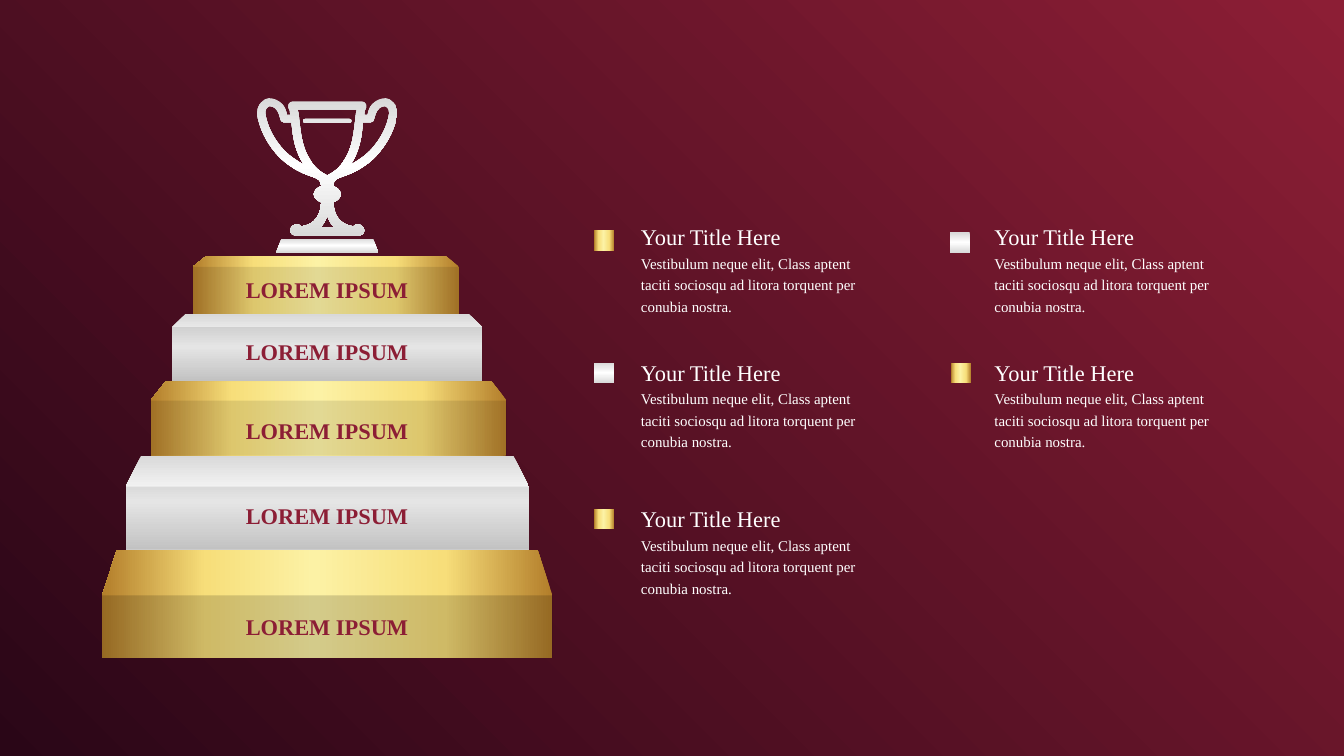
from lxml.etree import SubElement as Sub
from pptx import Presentation
from pptx.dml.color import RGBColor as RGB
from pptx.enum.shapes import MSO_SHAPE as Shape
from pptx.enum.text import MSO_AUTO_SIZE as Fit, PP_ALIGN as Align
from pptx.oxml.ns import qn
from pptx.util import Inches, Pt

WINE, PLUM = RGB(0x8C, 0x1E, 0x35), RGB(0x2A, 0x06, 0x17)
WHITE, BLACK = RGB(255, 255, 255), RGB(0, 0, 0)
BRONZE, AMBER, CREAM = RGB(0xB3, 0x7E, 0x2A), RGB(0xF7, 0xDE, 0x7A), RGB(0xFC, 0xF2, 0xA5)
GREY = RGB(0xD9, 0xD9, 0xD9)

GOLD = ([(0, BRONZE), (24, AMBER), (53, CREAM), (77, AMBER), (100, BRONZE)], 180)
SILVER = ([(0, GREY), (49, WHITE), (100, GREY)], 90)
GLOW = ([(0, WINE), (100, PLUM)], None)

BASE = {"name": "Times New Roman"}
LABEL = BASE | {"size": Pt(24), "bold": True}
TITLE = BASE | {"size": Pt(24)}
BODY = BASE | {"size": Pt(16)}
BOX = {"word_wrap": True, "auto_size": Fit.SHAPE_TO_FIT_TEXT}
BLURB = ("Vestibulum neque elit, Class aptent taciti sociosqu "
         "ad litora torquent per conubia nostra.")

STEPS = [
    (8.18, 9.79, 1.52, 6.7, 0.22, 0.68, 9.07, 16),
    (6.78, 8.18, 1.87, 6, 0.23, 0.46, 7.42, 10),
    (5.67, 6.78, 2.24, 5.3, 0.23, 0.29, 6.16, 10),
    (4.67, 5.67, 2.56, 4.62, 0.2, 0.2, 4.98, 10),
    (3.81, 4.67, 2.87, 3.96, 0.2, 0.16, 4.06, 10),
]
NOTES = [
    (9.44, 3.19, 8.84, 3.43, GOLD), (9.44, 5.21, 8.84, 5.4, SILVER),
    (9.44, 7.39, 8.84, 7.58, GOLD), (14.7, 3.19, 14.13, 3.46, SILVER),
    (14.7, 5.21, 14.15, 5.4, GOLD),
]

AXIS = 4.87
CUP = [
    (5.33, 3.51), (5.37, 3.51, 5.42, 3.48, 5.42, 3.43),
    (5.42, 3.38, 5.37, 3.34, 5.33, 3.34), (5.3, 3.34, 5.27, 3.35, 5.26, 3.37),
    (5.04, 3.34, 4.97, 3.19, 4.96, 3.01), (5.02, 2.99, 5.07, 2.94, 5.07, 2.89),
    (5.07, 2.84, 5.02, 2.79, 4.96, 2.77), (4.96, 2.67, 5.01, 2.66, 5.12, 2.62),
    (5.3, 2.56, 5.46, 2.46, 5.59, 2.33), (5.74, 2.17, 5.85, 1.98, 5.9, 1.77),
    (5.93, 1.65, 5.9, 1.56, 5.84, 1.51), (5.82, 1.48, 5.78, 1.47, 5.74, 1.46),
    (5.71, 1.46, 5.67, 1.47, 5.64, 1.48), (5.56, 1.51, 5.49, 1.58, 5.47, 1.71),
    (5.42, 1.71), (5.42, 1.67, 5.43, 1.62, 5.45, 1.6),
    (5.46, 1.57, 5.45, 1.54, 5.42, 1.52), (5.41, 1.51, 5.4, 1.51, 5.39, 1.51),
]
BOWL = [
    (4.87, 2.61), (4.98, 2.56, 5.07, 2.48, 5.13, 2.37),
    (5.21, 2.25, 5.25, 2.09, 5.27, 1.92), (5.27, 1.9, 5.28, 1.87, 5.28, 1.84),
    (5.29, 1.77, 5.29, 1.7, 5.31, 1.63),
]
FOOT = [(4.97, 3.38), (4.92, 3.33, 4.89, 3.27, 4.87, 3.2)]
SLOT = [
    (5.2, 1.77), (5.22, 1.77, 5.23, 1.78, 5.23, 1.8),
    (5.23, 1.81, 5.22, 1.83, 5.2, 1.83),
]
LOOP = [
    (5.4, 1.82), (5.4, 1.85), (5.4, 1.88, 5.39, 1.9, 5.39, 1.93),
    (5.37, 2.12, 5.32, 2.29, 5.23, 2.43), (5.22, 2.45),
    (5.33, 2.39, 5.43, 2.32, 5.51, 2.24), (5.64, 2.1, 5.74, 1.93, 5.78, 1.75),
    (5.8, 1.67, 5.79, 1.62, 5.76, 1.6), (5.75, 1.59, 5.74, 1.58, 5.73, 1.58),
    (5.71, 1.58, 5.7, 1.58, 5.68, 1.59), (5.63, 1.61, 5.59, 1.67, 5.57, 1.76),
    (5.57, 1.79, 5.55, 1.82, 5.52, 1.82),
]


def apply(item, style):
    for key, value in style.items():
        setattr(item, key, value)


def blend(fill, root, paint):
    stops, angle = paint
    fill.gradient()
    grad = next(root.iter(qn("a:gradFill")))
    for child in list(grad):
        grad.remove(child)
    group = Sub(grad, qn("a:gsLst"))
    for spot, tint in stops:
        stop = Sub(group, qn("a:gs"), pos=str(spot * 1000))
        Sub(stop, qn("a:srgbClr"), val=str(tint))
    if angle is None:
        way = Sub(grad, qn("a:path"))
        way.set("path", "circle")
        Sub(way, qn("a:fillToRect"), l="100000", b="100000")
    else:
        Sub(grad, qn("a:lin"), ang=str(angle * 60000), scaled="0")


def finish(shape, paint):
    shape.shadow.inherit = False
    shape.line.fill.background()
    blend(shape.fill, shape.element.spPr, paint)


def shade(shape, alpha):
    shape.shadow.inherit = False
    shape.line.fill.background()
    shape.fill.solid()
    shape.fill.fore_color.rgb = BLACK
    tint = next(shape.element.spPr.iter(qn("a:srgbClr")))
    Sub(tint, qn("a:alpha"), val=str(alpha * 1000))


def pairs(part):
    return list(zip(part[::2], part[1::2]))


def bend(shape, loops):
    nodes = iter(list(shape.element.spPr.iter(qn("a:lnTo"))))
    for part in (part for loop in loops for part in loop[1:]):
        first, *rest = [next(nodes) for _ in pairs(part)]
        if rest:
            first.tag = qn("a:cubicBezTo")
        for node in rest:
            first.append(node[0])
            node.getparent().remove(node)


def outline(slide, loops):
    pen = None
    for loop in loops:
        dots = [(Inches(x), Inches(y)) for part in loop for x, y in pairs(part)]
        if pen is None:
            pen = slide.shapes.build_freeform(*dots[0])
        else:
            pen.move_to(*dots[0])
        pen.add_line_segments(dots[1:], close=True)
    shape = pen.convert_to_shape()
    bend(shape, loops)
    return shape


def write(slide, spot, text, style, tint=None, **form):
    box = slide.shapes.add_textbox(*map(Inches, spot))
    apply(box.text_frame, BOX)
    line = box.text_frame.paragraphs[0]
    apply(line, form)
    run = line.add_run()
    run.text = text
    apply(run.font, style)
    if tint is None:
        blend(run.font.fill, run._r, GLOW)
    else:
        run.font.color.rgb = tint


def add_step(slide, step, paint):
    top, base, left, width, inset, lip, label, alpha = step
    right, edge = left + width, top + lip
    front = [(right, base), (left, base), (left, edge), (right, edge)]
    block = [(right - inset, top), (left + inset, top), (left, edge),
             (left, base), (right, base), (right, edge)]
    finish(outline(slide, [block]), paint)
    shade(outline(slide, [front]), alpha)
    write(slide, (3.12, label, 3.49, 0.5), "LOREM IPSUM", LABEL, alignment=Align.CENTER)


def add_note(slide, left, top, x, y, paint):
    write(slide, (left, top, 3.73, 0.54), "Your Title Here", TITLE, WHITE, line_spacing=1.2)
    write(slide, (left, top + 0.49, 3.66, 1.07), BLURB, BODY, WHITE, line_spacing=1.2)
    mark = slide.shapes.add_shape(Shape.RECTANGLE, *map(Inches, (x, y, 0.3, 0.3)))
    finish(mark, paint)


def flip(parts):
    dots = [(2 * AXIS - x, y) for part in parts for x, y in pairs(part)][::-1]
    turned, start = [dots[0]], 1
    for part in parts[:0:-1]:
        stop = start + len(part) // 2
        turned.append(tuple(n for dot in dots[start:stop] for n in dot))
        start = stop
    return turned


def whole(half):
    twin = flip(half)
    return half + twin[half[-1][-2] == AXIS:]


def add_cup(slide):
    loops = [whole(half) for half in (CUP, BOWL, FOOT, SLOT)]
    finish(outline(slide, loops + [LOOP, flip(LOOP)]), SILVER)
    stand = [(4.19, 3.55), (5.55, 3.55), (5.63, 3.76), (4.11, 3.76)]
    finish(outline(slide, [stand]), SILVER)


def main():
    deck = Presentation()
    apply(deck, {"slide_width": Inches(20), "slide_height": Inches(11.25)})
    slide = deck.slides.add_slide(deck.slide_layouts[6])
    blend(slide.background.fill, slide.element, GLOW)
    for rank, step in enumerate(STEPS):
        add_step(slide, step, (GOLD, SILVER)[rank % 2])
    for note in NOTES:
        add_note(slide, *note)
    add_cup(slide)
    deck.save("out.pptx")


main()
